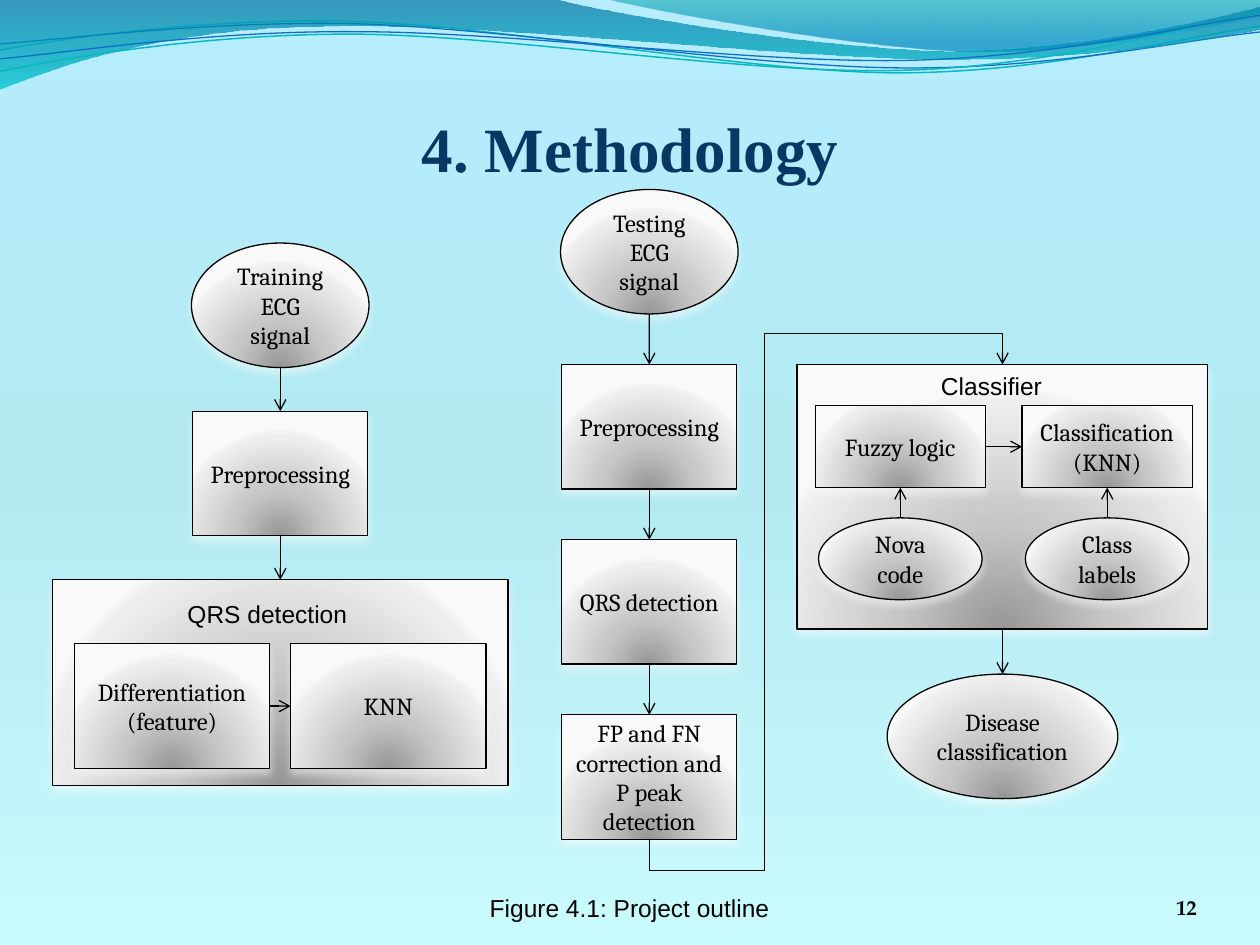
from dataclasses import dataclass

from lxml import etree
from pptx import Presentation
from pptx.dml.color import RGBColor
from pptx.enum.shapes import MSO_CONNECTOR, MSO_SHAPE
from pptx.enum.text import MSO_ANCHOR, MSO_AUTO_SIZE, PP_ALIGN
from pptx.oxml import parse_xml
from pptx.oxml.ns import nsdecls, qn
from pptx.util import Cm, Pt

RECTANGLE, ELLIPSE = MSO_SHAPE.RECTANGLE, MSO_SHAPE.OVAL
STRAIGHT, ELBOW = MSO_CONNECTOR.STRAIGHT, MSO_CONNECTOR.ELBOW
LEFT, CENTER, RIGHT = PP_ALIGN.LEFT, PP_ALIGN.CENTER, PP_ALIGN.RIGHT
TOP, MIDDLE, BOTTOM = MSO_ANCHOR.TOP, MSO_ANCHOR.MIDDLE, MSO_ANCHOR.BOTTOM
TOP_SIDE, LEFT_SIDE, BOTTOM_SIDE, RIGHT_SIDE = range(4)
DOWNWARD = '<a:lin ang="5400000" scaled="0"/>'
RADIAL = ('<a:path path="circle"><a:fillToRect l="50000" t="130000" '
          'r="50000" b="-30000"/></a:path>')


@dataclass(frozen=True)
class Theme:
    ink: str = "000000"
    title: str = "083763"
    number: str = "000A0C"
    shadow: str = "FFFFFF"
    teal: str = "0AB8BF"
    blue: str = "0F6FC6"
    background: tuple = ((0, "B5EDFD", 100), (50, "B3EAF2", 100), (100, "C9FAFC", 100))
    wide_wave: tuple = ((0, "0074A1", 45), (100, "00C6CF", 55))
    right_wave: tuple = ((0, "00A1A9", 30), (80, "008BBF", 45))
    node: tuple = ((0, "979797", 100), (43, "C6C6C6", 100),
                   (93, "EEEEEE", 100), (100, "F9F9F9", 100))
    title_size: int = 36
    body_size: int = 14
    number_size: int = 12
    line_width: float = 0.75
    title_font: str = "Times New Roman"
    node_font: str = "Cambria"
    label_font: str = "Arial"
    number_font: str = "TeX Gyre Pagella"


@dataclass(frozen=True)
class Node:
    name: str
    text: str
    center: float
    top: float
    width: float
    height: float = 2.51
    kind: int = RECTANGLE


@dataclass(frozen=True)
class Link:
    start: str
    start_side: int
    end: str
    end_side: int


@dataclass(frozen=True)
class Label:
    text: str
    box: tuple
    alignment: int = LEFT
    wrap: bool = True


THEME = Theme()
STEP = 3.53
TESTING_TOPS = [3.82 + STEP * index for index in range(4)]
TRAINING, TESTING, CLASSIFIER, FUZZY, KNN = 5.65, 13.09, 20.21, 18.15, 22.32

NODES = [
    Node("training", "Training ECG signal", TRAINING, 4.9, 3.58, kind=ELLIPSE),
    Node("training preprocessing", "Preprocessing", TRAINING, 8.29, 3.53),
    Node("detection panel", "", TRAINING, 11.69, 9.19, 4.14),
    Node("differentiation", "Differentiation\n(feature)", 3.47, 12.98, 3.94),
    Node("knn", "KNN", 7.83, 12.98, 3.94),
    Node("disease", "Disease classification", CLASSIFIER, 13.59, 4.65, kind=ELLIPSE),
    Node("testing", "Testing ECG signal", TESTING, TESTING_TOPS[0], 3.58, kind=ELLIPSE),
    Node("testing preprocessing", "Preprocessing", TESTING, TESTING_TOPS[1], 3.53),
    Node("detection", "QRS detection", TESTING, TESTING_TOPS[2], 3.53),
    Node("correction", "FP and FN correction and P peak detection",
         TESTING, TESTING_TOPS[3], 3.53),
    Node("classifier panel", "", CLASSIFIER, 7.35, 8.28, 5.33),
    Node("fuzzy", "Fuzzy logic", FUZZY, 8.18, 3.43, 1.65),
    Node("nova", "Nova code", FUZZY, 10.44, 3.3, 1.65, ELLIPSE),
    Node("classification", "Classification\n(KNN)", KNN, 8.18, 3.43, 1.65),
    Node("class labels", "Class labels", KNN, 10.44, 3.3, 1.65, ELLIPSE),
]
LINKS = [
    Link("training", BOTTOM_SIDE, "training preprocessing", TOP_SIDE),
    Link("training preprocessing", BOTTOM_SIDE, "detection panel", TOP_SIDE),
    Link("differentiation", RIGHT_SIDE, "knn", LEFT_SIDE),
    Link("testing", BOTTOM_SIDE, "testing preprocessing", TOP_SIDE),
    Link("testing preprocessing", BOTTOM_SIDE, "detection", TOP_SIDE),
    Link("detection", BOTTOM_SIDE, "correction", TOP_SIDE),
    Link("fuzzy", RIGHT_SIDE, "classification", LEFT_SIDE),
    Link("nova", TOP_SIDE, "fuzzy", BOTTOM_SIDE),
    Link("class labels", TOP_SIDE, "classification", BOTTOM_SIDE),
    Link("classifier panel", BOTTOM_SIDE, "disease", TOP_SIDE),
]
LABELS = [
    Label("QRS detection", (3.53, 11.95, 4.24, 0.86)),
    Label("Classifier", (18.72, 7.36, 2.97, 0.69)),
    Label("Figure 4.1: Project outline", (9.61, 17.88, 6.17, 0.86), CENTER, False),
]
WIDE_WAVE = [
    [(0, -0.03)], [(11.18, -0.03)],
    [(12.09, 0.25), (16.87, 1.02), (19.25, 1.02)],
    [(21.67, 1.02), (24.33, 0.41), (25.4, 0.13)], [(25.43, 0.58)],
    [(24.97, 0.69), (22.1, 1.22), (18.95, 1.19)],
    [(15.8, 1.19), (9.7, 0.43), (6.53, 0.53)],
    [(3.28, 0.56), (1.17, 1.32), (-0.03, 1.8)],
]
RIGHT_WAVE = [
    [(12.17, -0.03)], [(12.93, 0.18), (17.32, 0.99), (19.53, 1.04)],
    [(21.74, 1.09), (24.41, 0.51), (25.4, 0.33)], [(25.4, 0)],
]
STRANDS = [
    (THEME.teal, 0.85, [
        [(-0.05, 1.02)], [(1.19, 0.79), (4.01, 0.36), (7.04, 0.43)],
        [(10.06, 0.51), (14.99, 1.45), (18.06, 1.47)],
        [(21.11, 1.47), (23.88, 0.74), (25.4, 0.53)]]),
    (THEME.blue, 0.75, [
        [(-0.05, 0.89)], [(1.17, 0.81), (4.17, 0.41), (7.21, 0.48)],
        [(10.24, 0.58), (15.14, 1.35), (18.16, 1.37)],
        [(21.21, 1.4), (23.95, 0.79), (25.45, 0.64)]]),
    (THEME.teal, 0.85, [
        [(-0.05, 1.45)], [(1.19, 1.19), (4.01, 0.69), (7.04, 0.69)],
        [(10.06, 0.69), (15.01, 1.5), (18.08, 1.42)],
        [(21.13, 1.37), (23.88, 0.53), (25.4, 0.3)]]),
    (THEME.blue, 0.75, [
        [(-0.03, 1.19)], [(1.17, 1.09), (4.17, 0.61), (7.21, 0.64)],
        [(10.24, 0.64), (15.14, 1.27), (18.19, 1.22)],
        [(21.23, 1.17), (23.93, 0.51), (25.45, 0.3)]]),
]


def set_gradient(fill, properties, stops: tuple, direction: str) -> None:
    fill.solid()
    stop_xml = "".join(
        f'<a:gs pos="{position * 1000}"><a:srgbClr val="{color}">'
        f'<a:alpha val="{opacity * 1000}"/></a:srgbClr></a:gs>'
        for position, color, opacity in stops)
    gradient = parse_xml(f'<a:gradFill {nsdecls("a")} rotWithShape="1"><a:gsLst>{stop_xml}'
                         f'</a:gsLst>{direction}</a:gradFill>')
    properties.replace(properties.find(qn("a:solidFill")), gradient)


def set_line(line, color: str, width: float) -> None:
    line.color.rgb = RGBColor.from_string(color)
    line.width = Pt(width)


def format_text(text_frame, font: str, size: int, color: str, alignment: int,
                bold: bool = False) -> None:
    for paragraph in text_frame.paragraphs:
        paragraph.alignment = alignment
        for run in paragraph.runs:
            run.font.name = font
            run.font.size = Pt(size)
            run.font.bold = bold
            run.font.color.rgb = RGBColor.from_string(color)


def draw_curve(slide, segments: list, closed: bool):
    points = [(Cm(x), Cm(y)) for segment in segments for x, y in segment]
    builder = slide.shapes.build_freeform(*points[0])
    builder.add_line_segments(points[1:], close=closed)
    shape = builder.convert_to_shape()
    shape.shadow.inherit = False
    steps = iter(list(shape.element.iter(qn("a:lnTo"))))
    for segment in segments[1:]:
        step = next(steps)
        if len(segment) == 3:
            curve = etree.Element(qn("a:cubicBezTo"))
            step.addprevious(curve)
            for corner in (step, next(steps), next(steps)):
                curve.append(corner[0])
                corner.getparent().remove(corner)
    return shape


def draw_waves(slide) -> None:
    shapes = []
    for strands in (STRANDS[:2], STRANDS[2:]):
        for segments, stops in ((WIDE_WAVE, THEME.wide_wave), (RIGHT_WAVE, THEME.right_wave)):
            shape = draw_curve(slide, segments, True)
            set_gradient(shape.fill, shape.element.spPr, stops, DOWNWARD)
            shape.line.fill.background()
            shapes.append(shape)
        for color, width, segments in strands:
            shape = draw_curve(slide, segments, False)
            shape.fill.background()
            set_line(shape.line, color, width)
            shapes.append(shape)
    master_tree = slide.slide_layout.slide_master.shapes.element
    for index, shape in enumerate(shapes):
        shape.element.find(f'.//{qn("p:cNvPr")}').set("id", str(100 + index))
        master_tree.insert(2 + index, shape.element)


def draw_node(slide, node: Node):
    shape = slide.shapes.add_shape(node.kind, Cm(node.center - node.width / 2), Cm(node.top),
                                   Cm(node.width), Cm(node.height))
    set_gradient(shape.fill, shape.element.spPr, THEME.node, RADIAL)
    set_line(shape.line, THEME.ink, THEME.line_width)
    shape.shadow.inherit = False
    shape.element.spPr.find(qn("a:effectLst")).append(parse_xml(
        f'<a:outerShdw {nsdecls("a")} blurRad="{Pt(4.5)}" dist="{Pt(3)}" dir="5400000" '
        f'rotWithShape="0"><a:srgbClr val="{THEME.shadow}"><a:alpha val="48000"/>'
        '</a:srgbClr></a:outerShdw>'))
    if node.text:
        shape.text_frame.text = node.text
        shape.text_frame.vertical_anchor = MIDDLE
        format_text(shape.text_frame, THEME.node_font, THEME.body_size, THEME.ink, CENTER)
    return shape


def side_point(shape, side: int) -> tuple:
    middle_x, middle_y = shape.left + shape.width // 2, shape.top + shape.height // 2
    return ((middle_x, shape.top), (shape.left, middle_y),
            (middle_x, shape.top + shape.height), (shape.left + shape.width, middle_y))[side]


def draw_arrow(slide, kind: int, start: tuple, end: tuple):
    connector = slide.shapes.add_connector(kind, *start, *end)
    set_line(connector.line, THEME.ink, THEME.line_width)
    properties = connector.element.spPr
    etree.SubElement(properties.find(qn("a:ln")), qn("a:tailEnd"), type="arrow")
    etree.SubElement(properties, qn("a:effectLst"))
    return connector


def draw_link(slide, link: Link, shapes: dict) -> None:
    start, end = shapes[link.start], shapes[link.end]
    connector = draw_arrow(slide, STRAIGHT, side_point(start, link.start_side),
                           side_point(end, link.end_side))
    if start.auto_shape_type == RECTANGLE:
        connector.begin_connect(start, link.start_side)
    if end.auto_shape_type == RECTANGLE:
        connector.end_connect(end, link.end_side)


def draw_detour(slide, start: tuple, end: tuple) -> None:
    connector = draw_arrow(slide, ELBOW, start, end)
    across, rise = end[0] - start[0], start[1] - end[1]
    connector.left = (start[0] + end[0] - rise) // 2
    connector.top = (start[1] + end[1] - across) // 2
    connector.width, connector.height = rise, across
    frame = connector.element.spPr.find(qn("a:xfrm"))
    for name, value in (("rot", "5400000"), ("flipH", "1"), ("flipV", "1")):
        frame.set(name, value)
    geometry = connector.element.spPr.find(qn("a:prstGeom"))
    geometry.set("prst", "bentConnector5")
    adjustments = geometry.find(qn("a:avLst"))
    for index, value in enumerate((-6600, 32600, 106600), 1):
        etree.SubElement(adjustments, qn("a:gd"), name=f"adj{index}", fmla=f"val {value}")


def draw_label(slide, label: Label) -> None:
    text_frame = slide.shapes.add_textbox(*map(Cm, label.box)).text_frame
    text_frame.text = label.text
    text_frame.word_wrap = label.wrap
    text_frame.auto_size = MSO_AUTO_SIZE.SHAPE_TO_FIT_TEXT
    format_text(text_frame, THEME.label_font, THEME.body_size, THEME.ink, label.alignment)


def draw_title(slide, text: str) -> None:
    title = slide.shapes.title
    title.left, title.top, title.width, title.height = map(Cm, (1.27, 1.96, 22.86, 2.29))
    text_frame = title.text_frame
    text_frame.text = text
    text_frame.vertical_anchor = TOP
    text_frame.margin_top = text_frame.margin_bottom = Cm(0.25)
    format_text(text_frame, THEME.title_font, THEME.title_size, THEME.title, CENTER, True)


def draw_number(slide, text: str) -> None:
    text_frame = slide.shapes.add_textbox(Cm(22.02), Cm(17.65), Cm(2.11), Cm(1.02)).text_frame
    text_frame.text = text
    text_frame.word_wrap = True
    text_frame.vertical_anchor = BOTTOM
    text_frame.margin_left = text_frame.margin_right = Cm(0)
    format_text(text_frame, THEME.number_font, THEME.number_size, THEME.number, RIGHT, True)


def main() -> None:
    presentation = Presentation()
    presentation.slide_width, presentation.slide_height = Cm(25.4), Cm(19.05)
    slide = presentation.slides.add_slide(presentation.slide_layouts[5])
    background_fill = slide.background.fill
    background_fill.solid()
    set_gradient(background_fill, slide.element.find(f'.//{qn("p:bgPr")}'),
                 THEME.background, DOWNWARD)
    draw_waves(slide)
    draw_title(slide, "4. Methodology")
    draw_number(slide, "12")
    shapes = {node.name: draw_node(slide, node) for node in NODES}
    for link in LINKS:
        draw_link(slide, link, shapes)
    draw_detour(slide, side_point(shapes["correction"], BOTTOM_SIDE),
                side_point(shapes["classifier panel"], TOP_SIDE))
    for label in LABELS:
        draw_label(slide, label)
    presentation.save("out.pptx")


if __name__ == "__main__":
    main()
